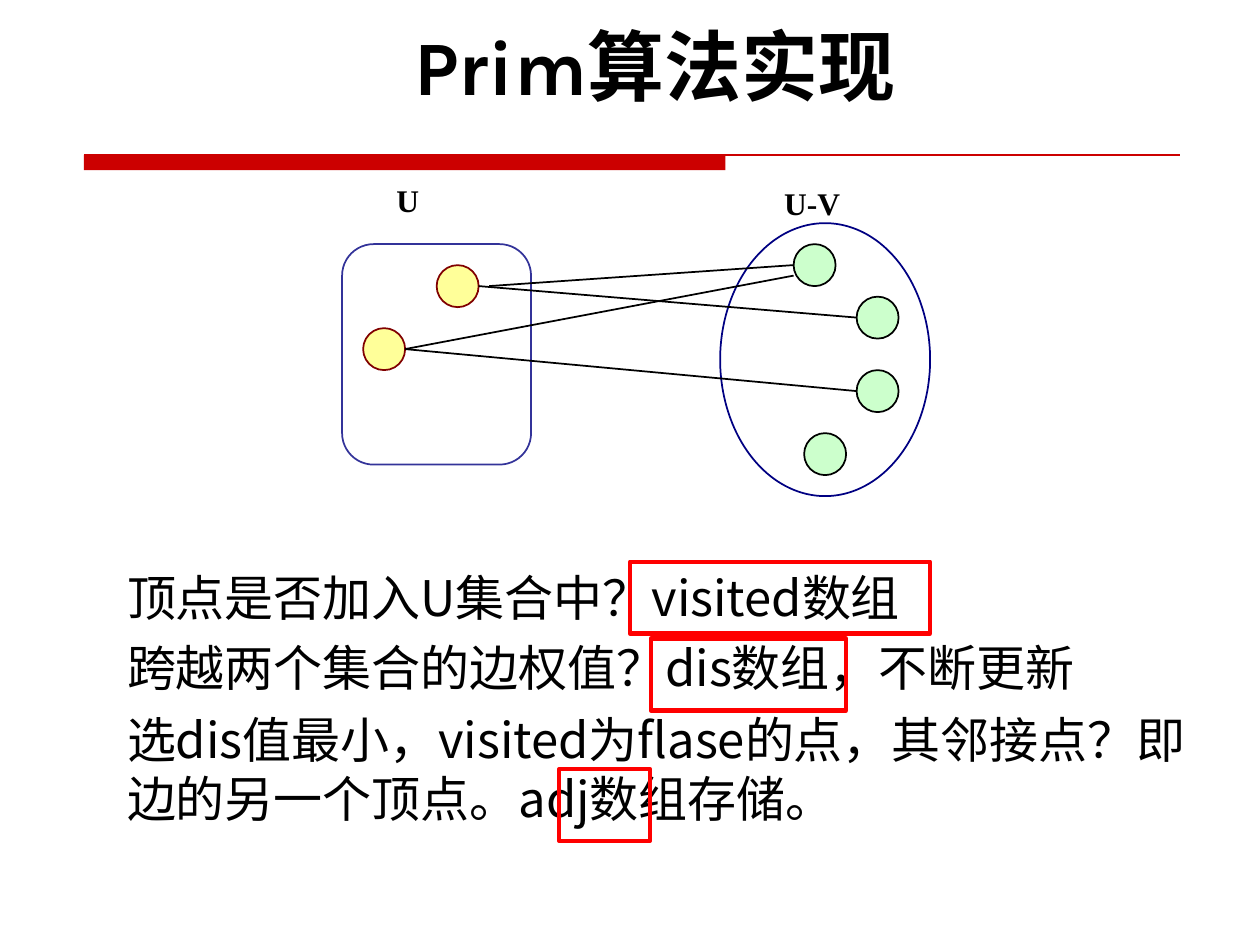
"""Build a slide on implementing Prim's algorithm with a cut between two vertex sets."""
import lxml.etree
import pptx
import pptx.dml.color
import pptx.enum.shapes
import pptx.enum.text
import pptx.oxml.ns
import pptx.util

Pt = pptx.util.Pt
SHAPES = pptx.enum.shapes.MSO_SHAPE
qn = pptx.oxml.ns.qn

THEME = {
    "title_font": "Karla", "label_font": "Times New Roman", "body_font": "Noto Sans CJK SC",
    "title_size": 44, "label_size": 18, "body_size": 28,
    "text": "000000", "rule": "CC0000", "marker": "FF0000",
    "set_u": "333399", "set_v": "000082",
    "chosen": ("FFFF99", "800000"), "waiting": ("CCFFCC", "000000"),
    "thin": 1, "thick": 2.5,
}

TITLE = "Prim算法实现"
SETS = [
    (SHAPES.ROUNDED_RECTANGLE, (195.5, 139.5, 108, 126), "set_u"),
    (SHAPES.OVAL, (411.5, 127.5, 120, 156), "set_v"),
]
SET_LABELS = [("U", (219.5, 100, 27.5, 29)), ("U-V", (441, 101.5, 47, 29))]
NODE_SIZE = 24
NODES = {
    "u1": (249.5, 151.5, "chosen"),
    "u2": (207.5, 187.5, "chosen"),
    "v1": (453.5, 139.5, "waiting"),
    "v2": (489.5, 169.5, "waiting"),
    "v3": (489.5, 211.5, "waiting"),
    "v4": (459.5, 247.5, "waiting"),
}
EDGES = [("u1", "v1", 6, 0), ("u2", "v3", 0, 0), ("u1", "v2", 0, 0), ("u2", "v1", 0, 6)]
QUESTIONS = [
    ("顶点是否加入U集合中？visited数组", 321, 41),
    ("跨越两个集合的边权值？dis数组，不断更新", 360.5, 41),
    ("选dis值最小，visited为flase的点，其邻接点？即边的另一个顶点。adj数组存储。", 402, 75),
]
MARKERS = [(360, 321, 171.5, 41), (372, 365, 111.5, 41), (319.5, 439.5, 52, 41)]


def color(value):
    return pptx.dml.color.RGBColor.from_string(value)


def add_outline(slide, kind, box, line, width, fill=None):
    shape = slide.shapes.add_shape(kind, *map(Pt, box))
    shape.shadow.inherit = False
    if fill:
        shape.fill.solid()
        shape.fill.fore_color.rgb = color(fill)
    else:
        shape.fill.background()
    shape.line.color.rgb = color(line)
    shape.line.width = Pt(width)
    return shape


def add_line(slide, start, end, line, width):
    connector = slide.shapes.add_connector(
        pptx.enum.shapes.MSO_CONNECTOR.STRAIGHT, *map(Pt, start + end))
    connector.line.color.rgb = color(line)
    connector.line.width = Pt(width)
    lxml.etree.SubElement(connector._element.spPr, qn("a:effectLst"))


def style(paragraph, role, bold):
    font = paragraph.font
    font.name = THEME[role + "_font"]
    font.size = Pt(THEME[role + "_size"])
    font.bold = bold
    font.color.rgb = color(THEME["text"])
    defaults = paragraph._p.pPr.find(qn("a:defRPr"))
    east_asian = lxml.etree.Element(qn("a:ea"), typeface=THEME[role + "_font"])
    defaults.find(qn("a:latin")).addnext(east_asian)


def add_text(slide, text, box, role, bold, wrap):
    frame = slide.shapes.add_textbox(*map(Pt, box)).text_frame
    frame.word_wrap = wrap
    frame.text = text
    style(frame.paragraphs[0], role, bold)


def add_title(slide):
    title = slide.shapes.title
    title.left, title.top, title.width, title.height = map(Pt, (38, 15, 672.5, 51))
    frame = title.text_frame
    frame.text = TITLE
    frame.auto_size = pptx.enum.text.MSO_AUTO_SIZE.NONE
    frame.vertical_anchor = pptx.enum.text.MSO_ANCHOR.MIDDLE
    heading = frame.paragraphs[0]
    heading.alignment = pptx.enum.text.PP_ALIGN.CENTER
    heading.line_spacing = 0.9
    style(heading, "title", True)


def add_graph(slide):
    for kind, box, line in SETS:
        add_outline(slide, kind, box, THEME[line], THEME["thin"])
    for left, top, state in NODES.values():
        fill, line = THEME[state]
        add_outline(slide, SHAPES.OVAL, (left, top, NODE_SIZE, NODE_SIZE),
                    line, THEME["thin"], fill)
    for source, target, start_shift, end_shift in EDGES:
        x1, y1, _ = NODES[source]
        x2, y2, _ = NODES[target]
        add_line(slide, (x1 + NODE_SIZE + start_shift, y1 + NODE_SIZE / 2),
                 (x2, y2 + NODE_SIZE / 2 + end_shift), THEME["text"], THEME["thin"])
    for text, box in SET_LABELS:
        add_text(slide, text, box, "label", True, False)


def main():
    deck = pptx.Presentation()
    deck.slide_width, deck.slide_height = Pt(720), Pt(540)
    slide = deck.slides.add_slide(deck.slide_layouts.get_by_name("Title Only"))
    bar = add_outline(slide, SHAPES.RECTANGLE, (48, 88.5, 366.5, 8.75),
                      THEME["rule"], THEME["thin"], THEME["rule"])
    bar.line.fill.background()
    add_line(slide, (48, 88.5), (674.5, 88.5), THEME["rule"], THEME["thin"])
    add_title(slide)
    add_graph(slide)
    for text, top, height in QUESTIONS:
        add_text(slide, text, (65.5, top, 629.5, height), "body", False, True)
    for box in MARKERS:
        add_outline(slide, SHAPES.RECTANGLE, box, THEME["marker"], THEME["thick"])
    deck.save("out.pptx")


if __name__ == "__main__":
    main()
